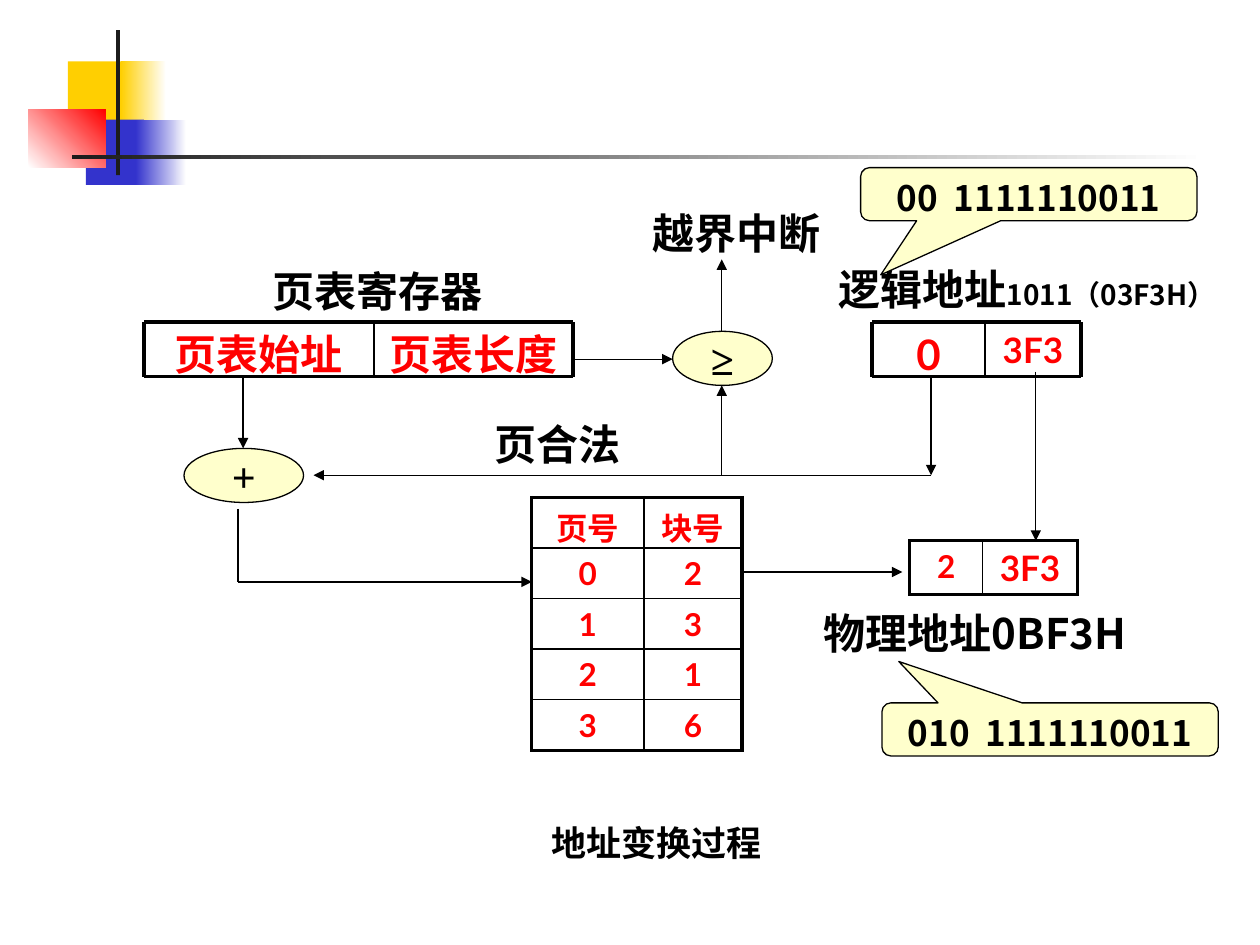
from dataclasses import dataclass
from itertools import pairwise

from lxml.etree import SubElement
from pptx import Presentation
from pptx.dml.color import RGBColor
from pptx.enum.shapes import MSO_CONNECTOR, MSO_SHAPE
from pptx.enum.text import MSO_ANCHOR as Anchor, PP_ALIGN as Align
from pptx.oxml.ns import qn
from pptx.util import Cm, Pt

BLACK, RED, CREAM, WHITE, DARK = "000000", "FF0000", "FFFFCC", "FFFFFF", "1C1C1C"
YELLOW, BLUE = "FFCF01", "3333CC"
SERIF, LATO, NOTO = "Times New Roman", "Lato", "Noto Sans CJK SC"
THICK, THIN, FINE = 2.25, 1, 0.75


@dataclass(frozen=True)
class Box:
    left: float
    top: float
    width: float
    height: float

    def lengths(self) -> tuple:
        return Cm(self.left), Cm(self.top), Cm(self.width), Cm(self.height)


@dataclass(frozen=True)
class TextRun:
    text: str
    size: float = 24
    font: str = SERIF
    color: str = BLACK
    spacing: int = 0


@dataclass(frozen=True)
class Label:
    box: Box
    runs: tuple[TextRun, ...]
    align: Align = Align.CENTER


@dataclass(frozen=True)
class Block:
    """A decoration rectangle, plain or fading from one colour to another."""
    box: Box
    color: str
    end_color: str = ""
    angle: float = 0


@dataclass(frozen=True)
class Register:
    """Two framed fields side by side; edges are the x of the vertical lines."""
    edges: tuple[float, float, float]
    fields: tuple[TextRun, TextRun]


@dataclass(frozen=True)
class Callout:
    box: Box
    page_bits: str
    offset_bits: str
    tip: tuple[float, float]


@dataclass(frozen=True)
class Grid:
    left: float
    top: float
    widths: tuple[float, float]
    row_height: float
    rows: tuple[tuple[TextRun, TextRun], ...]


def rgb(color: str) -> RGBColor:
    return RGBColor.from_string(color)


def write(frame, runs: tuple[TextRun, ...], align: Align = Align.CENTER) -> None:
    paragraph = frame.paragraphs[0]
    paragraph.alignment = align
    for item in runs:
        run = paragraph.add_run()
        run.text = item.text
        font = run.font
        font.name, font.size, font.bold = item.font, Pt(item.size), True
        font.color.rgb = rgb(item.color)
        properties = run._r.get_or_add_rPr()
        SubElement(properties, qn("a:ea"), typeface=NOTO)
        if item.spacing:
            properties.set("spc", str(item.spacing))


def add_block(slide, block: Block) -> None:
    shape = slide.shapes.add_shape(MSO_SHAPE.RECTANGLE, *block.box.lengths())
    shape.shadow.inherit = False
    shape.line.fill.background()
    if not block.end_color:
        shape.fill.solid()
        shape.fill.fore_color.rgb = rgb(block.color)
        return
    shape.fill.gradient()
    shape.fill.gradient_angle = block.angle
    stops = shape.fill.gradient_stops
    for position, (stop, color) in enumerate(zip(stops, (block.color, block.end_color))):
        stop.position = position
        stop.color.rgb = rgb(color)


def add_label(slide, label: Label) -> None:
    frame = slide.shapes.add_textbox(*label.box.lengths()).text_frame
    frame.word_wrap = True
    write(frame, label.runs, label.align)


def add_outlined(slide, kind: MSO_SHAPE, box: Box):
    shape = slide.shapes.add_shape(kind, *box.lengths())
    shape.shadow.inherit = False
    shape.fill.solid()
    shape.fill.fore_color.rgb = rgb(CREAM)
    shape.line.color.rgb = rgb(BLACK)
    shape.line.width = Pt(FINE)
    return shape


def add_operator(slide, box: Box, sign: str) -> None:
    frame = add_outlined(slide, MSO_SHAPE.OVAL, box).text_frame
    frame.word_wrap = False
    frame.vertical_anchor = Anchor.MIDDLE
    write(frame, (TextRun(sign),))


def add_callout(slide, callout: Callout) -> None:
    shape = add_outlined(slide, MSO_SHAPE.ROUNDED_RECTANGULAR_CALLOUT, callout.box)
    shape.adjustments[0], shape.adjustments[1] = callout.tip
    shape.text_frame.word_wrap = True
    shape.text_frame.vertical_anchor = Anchor.TOP
    write(shape.text_frame, (TextRun(callout.page_bits, 20, NOTO),
                             TextRun(" ", 20, NOTO, spacing=450),
                             TextRun(callout.offset_bits, 20, NOTO)))


def add_line(slide, start: tuple[float, float], end: tuple[float, float],
             width: float = FINE, arrow: bool = False) -> None:
    points = (Cm(value) for value in (*start, *end))
    connector = slide.shapes.add_connector(MSO_CONNECTOR.STRAIGHT, *points)
    connector.line.color.rgb = rgb(BLACK)
    connector.line.width = Pt(width)
    if arrow:
        SubElement(connector.line._get_or_add_ln(), qn("a:tailEnd"), type="triangle")
    SubElement(connector._element.spPr, qn("a:effectLst"))


def add_register(slide, register: Register, top: float = 6.5, bottom: float = 7.59) -> None:
    edges = register.edges
    for (left, right), field in zip(pairwise(edges), register.fields):
        add_label(slide, Label(Box(left, top, right - left, bottom - top), (field,)))
    for y in (top, bottom):
        add_line(slide, (edges[0], y), (edges[-1], y), THICK)
    for x, width in zip(edges, (THICK, THIN, THICK)):
        add_line(slide, (x, top), (x, bottom), width)


def set_borders(cell, widths: dict[str, float]) -> None:
    properties = cell._tc.get_or_add_tcPr()
    for side, width in widths.items():
        line = SubElement(properties, qn(f"a:ln{side}"), w=str(Pt(width)))
        fill = SubElement(line, qn("a:solidFill"))
        SubElement(fill, qn("a:srgbClr"), val=BLACK)


def add_grid(slide, grid: Grid) -> None:
    """Draw a table with a thick outer frame and thin inner lines."""
    count = len(grid.rows)
    box = Box(grid.left, grid.top, sum(grid.widths), grid.row_height * count)
    table = slide.shapes.add_table(count, len(grid.widths), *box.lengths()).table
    table.first_row = table.horz_banding = False
    for column, width in zip(table.columns, grid.widths):
        column.width = Cm(width)
    last_column = len(grid.widths) - 1
    for i, row in enumerate(grid.rows):
        for j, run in enumerate(row):
            cell = table.cell(i, j)
            outer = {"L": j == 0, "R": j == last_column, "T": i == 0, "B": i == count - 1}
            set_borders(cell, {side: THICK if edge else THIN for side, edge in outer.items()})
            cell.fill.background()
            cell.margin_bottom = 0
            write(cell.text_frame, (run,))


def red(text: str, size: float = 24) -> TextRun:
    return TextRun(text, size, LATO, RED)


BLOCKS = (
    Block(Box(1.37, 1.24, 1.22, 1.32), YELLOW),
    Block(Box(2.44, 1.24, 0.91, 1.32), YELLOW, WHITE),
    Block(Box(1.73, 2.41, 1.17, 1.32), BLUE),
    Block(Box(2.74, 2.41, 1.02, 1.32), BLUE, WHITE),
    Block(Box(0.58, 2.21, 1.55, 1.17), WHITE, RED, 45),
    Block(Box(2.34, 0.61, 0.08, 2.92), DARK),
    Block(Box(1.45, 3.12, 22.86, 0.08), DARK, WHITE),
)
OPERATORS = ((Box(3.71, 9.04, 2.41, 1.09), "+"), (Box(13.56, 6.68, 2.01, 1.09), "≥"))
REGISTERS = (
    Register((2.9, 7.54, 11.56), (red("页表始址"), red("页表长度"))),
    Register((17.58, 19.86, 21.79), (red("0"), red("3F3", 20))),
)
ARROWS = (
    ((18.77, 7.59), (18.77, 9.58)), ((18.77, 9.58), (6.32, 9.58)),
    ((4.9, 7.59), (4.9, 9.04)), ((4.8, 11.73), (10.72, 11.73)),
    ((14.55, 9.58), (14.55, 7.77)), ((11.56, 7.24), (13.56, 7.24)),
    ((14.55, 6.68), (14.55, 5.23)), ((14.96, 11.53), (18.19, 11.53)),
    ((20.88, 7.49), (20.88, 10.9)),
)
LABELS = (
    Label(Box(6.78, 16.43, 12.9, 1.09), (TextRun("地址变换过程", 20),)),
    Label(Box(4.5, 5.23, 6.22, 1.27), (TextRun("页表寄存器"),)),
    Label(Box(16.66, 5.18, 8.74, 1.27),
          (TextRun("逻辑地址", font=NOTO), TextRun("1011（03F3H）", 16, NOTO)), Align.LEFT),
    Label(Box(16.36, 12.12, 7.49, 1.27), (TextRun("物理地址0BF3H", font=NOTO),), Align.LEFT),
    Label(Box(11.73, 4.06, 6.22, 1.27), (TextRun("越界中断"),)),
    Label(Box(9.53, 8.31, 3.23, 1.27), (TextRun("页合法"),), Align.RIGHT),
)
PAGE_ROWS = (("页号", "块号"), ("0", "2"), ("1", "3"), ("2", "1"), ("3", "6"))
GRIDS = (
    Grid(10.72, 10.03, (2.26, 1.98), 1.02,
         tuple((red(page, 18), red(frame, 18)) for page, frame in PAGE_ROWS)),
    Grid(18.34, 10.9, (1.47, 1.91), 1.09, ((red("2", 18), red("3F3", 20)),)),
)
CALLOUTS = (
    Callout(Box(17.35, 3.38, 6.78, 1.07), "00", "1111110011", (-0.44, 1.52)),
    Callout(Box(17.78, 14.17, 6.78, 1.07), "010", "1111110011", (-0.45, -1.28)),
)


def main() -> None:
    presentation = Presentation()
    presentation.slide_width, presentation.slide_height = Cm(25.4), Cm(19.05)
    slide = presentation.slides.add_slide(presentation.slide_layouts[6])
    for block in BLOCKS:
        add_block(slide, block)
    for box, sign in OPERATORS:
        add_operator(slide, box, sign)
    for register in REGISTERS:
        add_register(slide, register)
    for start, end in ARROWS:
        add_line(slide, start, end, arrow=True)
    add_line(slide, (4.8, 10.26), (4.8, 11.73))
    for label in LABELS:
        add_label(slide, label)
    for grid in GRIDS:
        add_grid(slide, grid)
    for callout in CALLOUTS:
        add_callout(slide, callout)
    presentation.save("out.pptx")


if __name__ == "__main__":
    main()
